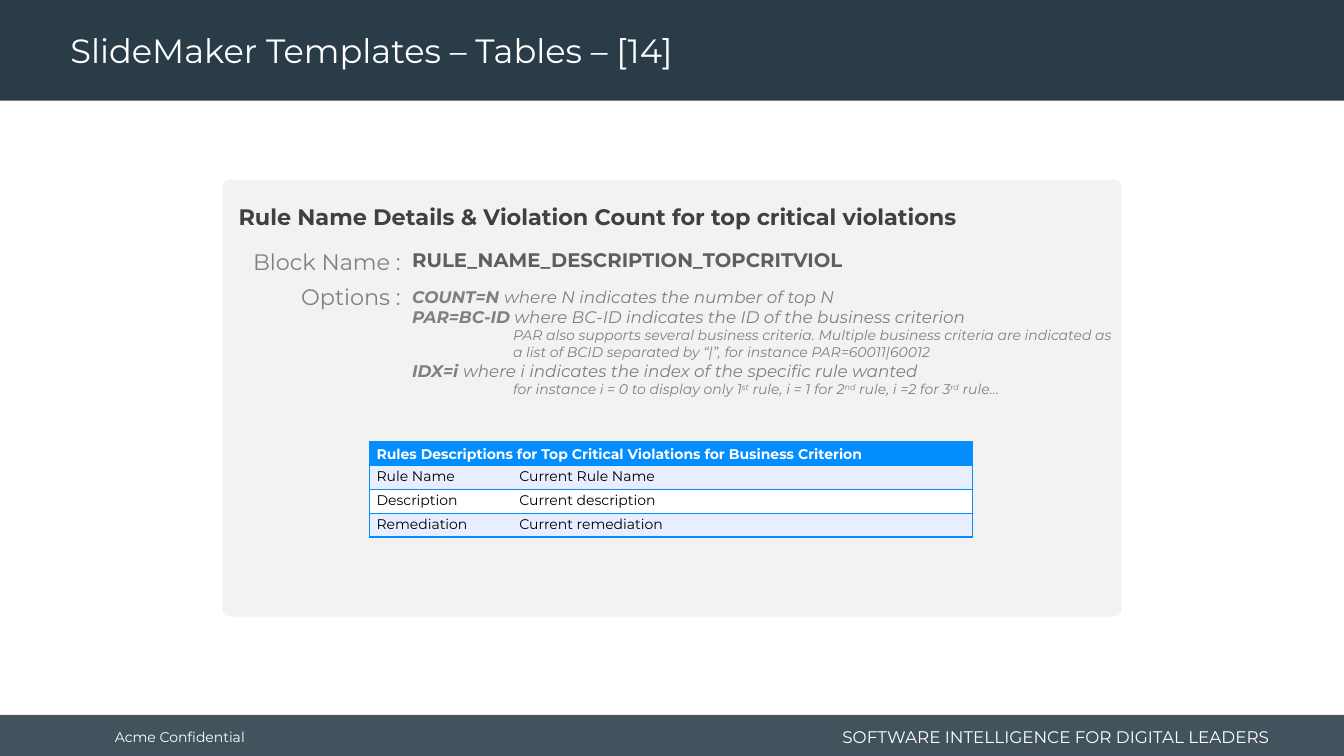
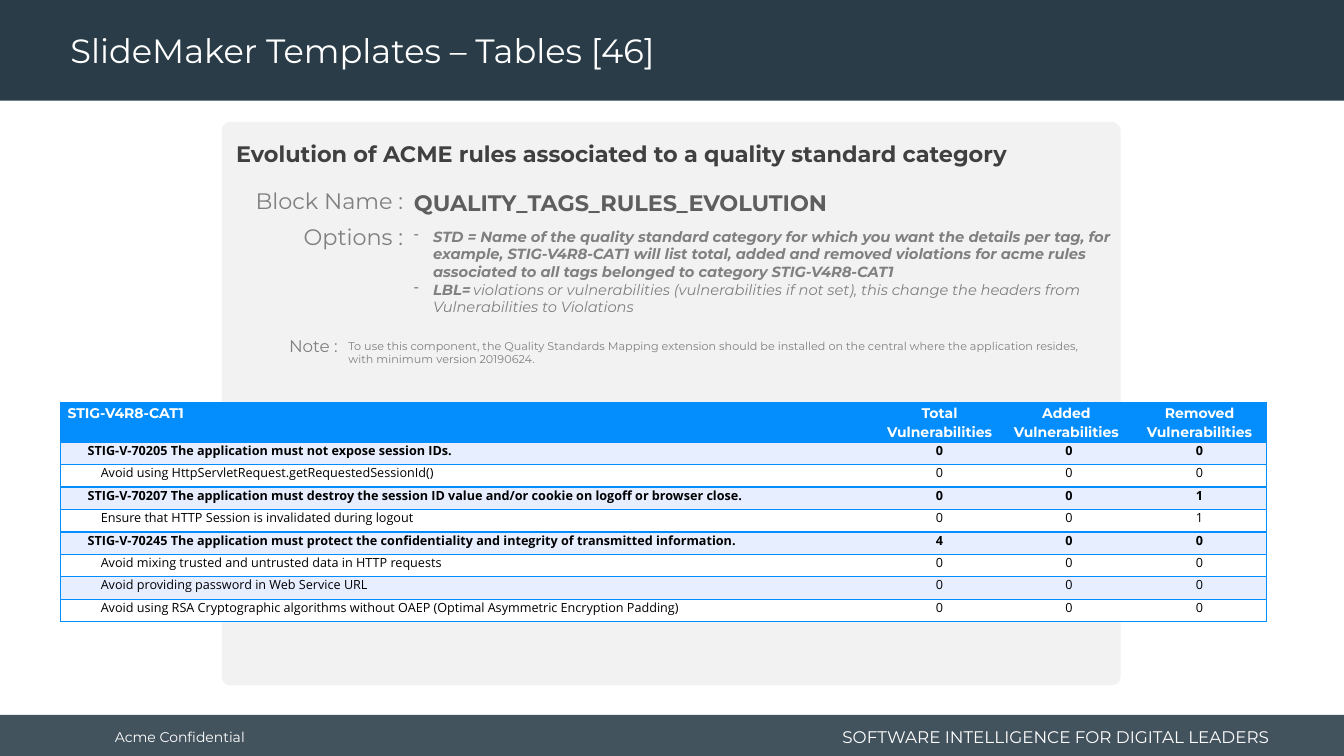
from dataclasses import dataclass

from lxml.etree import SubElement
from pptx import Presentation
from pptx.dml.color import RGBColor
from pptx.enum.shapes import MSO_SHAPE
from pptx.enum.text import MSO_ANCHOR, PP_ALIGN
from pptx.oxml.ns import qn
from pptx.util import Emu, Inches, Pt

COLUMNS, ROWS = 160, 90
SLIDE_WIDTH, SLIDE_HEIGHT = Inches(13.33), Inches(7.5)
BODY_FONT, TABLE_FONT = "Montserrat", "Open Sans"


@dataclass(frozen=True)
class Theme:
    band: str = "293C47"
    footer_opacity: int = 88
    panel: str = "F2F2F2"
    accent: str = "048EFD"
    stripe: str = "E7EEFF"
    white: str = "FFFFFF"
    black: str = "000000"
    heading: str = "404040"
    block: str = "5E5E5E"
    muted: str = "808080"
    title_size: float = 24
    heading_size: float = 16
    block_size: float = 14
    text_size: float = 12
    option_size: float = 10.5
    small_size: float = 10
    row_size: float = 9
    note_size: float = 8
    gap_size: float = 6


THEME = Theme()


def text_format(size, color, bold=False, italic=False, name=BODY_FONT):
    return {"size": size, "color": color, "bold": bold, "italic": italic, "name": name}


TITLE = text_format(THEME.title_size, THEME.white)
CONFIDENTIAL = text_format(THEME.small_size, THEME.white)
TAGLINE = text_format(THEME.text_size, THEME.white)
HEADING = text_format(THEME.heading_size, THEME.heading, bold=True)
BLOCK = text_format(THEME.block_size, THEME.block, bold=True)
LABEL = text_format(THEME.heading_size, THEME.muted)
OPTION = text_format(THEME.text_size, THEME.muted, italic=True)
NOTE = text_format(THEME.note_size, THEME.muted)
TABLE_HEADER = text_format(THEME.small_size, THEME.white, bold=True)
TABLE_TEXT = text_format(THEME.small_size, THEME.black)
RULE = text_format(THEME.row_size, THEME.black, name=TABLE_FONT)

STRONG = {"bold": True}
SMALL = {"size": THEME.small_size}
SUPERSCRIPT = SMALL | {"baseline": 30}


def across(columns):
    return Emu(round(SLIDE_WIDTH * columns / COLUMNS))


def down(rows):
    return Emu(round(SLIDE_HEIGHT * rows / ROWS))


def place(left, top, width, height):
    return across(left), down(top), across(width), down(height)


def set_attributes(target, values):
    for name, value in values.items():
        setattr(target, name, value)


def add_run(paragraph, text, values):
    run = paragraph.add_run()
    run.text = text
    font_values = dict(values)
    run.font.color.rgb = RGBColor.from_string(font_values.pop("color"))
    baseline = font_values.pop("baseline", None)
    font_values["size"] = Pt(font_values["size"])
    set_attributes(run.font, font_values)
    if baseline:
        run.font._element.set("baseline", str(baseline * 1000))


def indent(paragraph, inches, bullet=None):
    """Indent the paragraph; a bullet hangs in the indent."""
    properties = paragraph._p.get_or_add_pPr()
    properties.set("marL", str(Inches(inches)))
    properties.set("indent", str(-Inches(inches) if bullet else 0))
    if bullet:
        SubElement(properties, qn("a:buChar")).set("char", bullet)


def fill_paragraph(paragraph, runs, base, left=0, bullet=None, **layout):
    """Write a string, or (text, changed format values) pairs, in a base format."""
    set_attributes(paragraph, layout)
    if left:
        indent(paragraph, left, bullet)
    for text, changes in [(runs, {})] if isinstance(runs, str) else runs:
        add_run(paragraph, text, base | changes)


def add_text(slide, area, paragraphs, base, anchor=MSO_ANCHOR.TOP, inset=0.1, **layout):
    """Add a text box from a string or from (runs, indent, bullet) paragraphs."""
    frame = slide.shapes.add_textbox(*place(*area)).text_frame
    set_attributes(frame, {
        "word_wrap": True, "vertical_anchor": anchor,
        "margin_left": Inches(inset), "margin_right": Inches(inset),
    })
    if isinstance(paragraphs, str):
        paragraphs = [(paragraphs, 0, None)]
    for number, (runs, left, bullet) in enumerate(paragraphs):
        paragraph = frame.add_paragraph() if number else frame.paragraphs[0]
        fill_paragraph(paragraph, runs, base, left, bullet, **layout)


def add_block(slide, area, color, kind=MSO_SHAPE.RECTANGLE, opacity=100):
    shape = slide.shapes.add_shape(kind, *place(*area))
    shape.shadow.inherit = False
    shape.fill.solid()
    shape.fill.fore_color.rgb = RGBColor.from_string(color)
    shape.line.fill.background()
    if opacity < 100:
        color_element = shape._element.spPr.find(qn("a:solidFill"))[0]
        SubElement(color_element, qn("a:alpha")).set("val", str(opacity * 1000))
    return shape


def add_framed_slide(presentation, title):
    """Add a slide with the title band and the footer."""
    slide = presentation.slides.add_slide(presentation.slide_layouts[6])
    middle = MSO_ANCHOR.MIDDLE
    add_block(slide, (0, 85.1, COLUMNS, ROWS - 85.1), THEME.band, opacity=THEME.footer_opacity)
    add_block(slide, (0, 0, COLUMNS, 12), THEME.band)
    add_text(slide, (12.5, 85.3, 18, 4.8), "Acme Confidential", CONFIDENTIAL, middle)
    add_text(slide, (97.3, 85.8, 55, 3.8), "SOFTWARE INTELLIGENCE FOR DIGITAL LEADERS",
             TAGLINE, middle, alignment=PP_ALIGN.RIGHT)
    add_text(slide, (7.2, 0.5, 115, 11.5), title, TITLE, middle, line_spacing=0.9)
    return slide


def add_panel(slide, area, corner):
    panel = add_block(slide, area, THEME.panel, MSO_SHAPE.ROUNDED_RECTANGLE)
    panel.adjustments[0] = corner


def add_heading(slide, left, top, text):
    add_text(slide, (left, top, 107, 4.4), text, HEADING, inset=0.2)


def add_label(slide, right, top, text, base=LABEL):
    add_text(slide, (right - 20, top, 20, 4.4), text, base, alignment=PP_ALIGN.RIGHT)


def draw_borders(cell, sides):
    """Line the given sides of a cell and clear the others."""
    properties = cell._tc.get_or_add_tcPr()
    for side in "LRTB":
        line = SubElement(properties, qn(f"a:ln{side}"))
        line.set("w", str(Pt(1)))
        if side in sides:
            fill = SubElement(line, qn("a:solidFill"))
            SubElement(fill, qn("a:srgbClr")).set("val", THEME.accent)
        else:
            SubElement(line, qn("a:noFill"))


def add_grid(slide, left, top, widths, heights):
    """Add a table with ruled rows, a header fill and striped rows."""
    area = place(left, top, sum(widths), sum(heights))
    table = slide.shapes.add_table(len(heights), len(widths), *area).table
    set_attributes(table, {"first_row": False, "horz_banding": False})
    for column, width in zip(table.columns, widths):
        column.width = across(width)
    for number, (row, height) in enumerate(zip(table.rows, heights)):
        row.height = down(height)
        color = THEME.stripe if number % 2 else THEME.white
        for position, cell in enumerate(row.cells):
            outer = "L" * (position == 0) + "R" * (position == len(widths) - 1)
            draw_borders(cell, "TB" + outer)
            cell.fill.solid()
            cell.fill.fore_color.rgb = RGBColor.from_string(color if number else THEME.accent)
            set_attributes(cell, {
                "margin_left": Inches(0.07), "margin_right": Inches(0.07),
                "margin_top": 0, "margin_bottom": 0,
            })
    return table


def fill_cell(cell, text, base, **layout):
    fill_paragraph(cell.text_frame.paragraphs[0], text, base, **layout)


def add_description_table(slide):
    rows = [
        ("Rule Name", "Current Rule Name"),
        ("Description", "Current description"),
        ("Remediation", "Current remediation"),
    ]
    table = add_grid(slide, 44, 52.6, [17, 54.8], [2.83] * (len(rows) + 1))
    header = table.cell(0, 0)
    header.merge(table.cell(0, 1))
    header.vertical_anchor = MSO_ANCHOR.MIDDLE
    fill_cell(header, "Rules Descriptions for Top Critical Violations for Business Criterion",
              TABLE_HEADER, line_spacing=1.15)
    for number, texts in enumerate(rows, 1):
        for position, text in enumerate(texts):
            fill_cell(table.cell(number, position), text, TABLE_TEXT, line_spacing=1.15)


def add_evolution_table(slide):
    headers = ["STIG-V4R8-CAT1", "Total Vulnerabilities", "Added Vulnerabilities",
               "Removed Vulnerabilities"]
    rows = [
        (True, "STIG-V-70205 The application must not expose session IDs.", 0, 0, 0),
        (False, "Avoid using HttpServletRequest.getRequestedSessionId()", 0, 0, 0),
        (True, "STIG-V-70207 The application must destroy the session ID value and/or "
               "cookie on logoff or browser close.", 0, 0, 1),
        (False, "Ensure that HTTP Session is invalidated during logout", 0, 0, 1),
        (True, "STIG-V-70245 The application must protect the confidentiality and "
               "integrity of transmitted information.", 4, 0, 0),
        (False, "Avoid mixing trusted and untrusted data in HTTP requests", 0, 0, 0),
        (False, "Avoid providing password in Web Service URL", 0, 0, 0),
        (False, "Avoid using RSA Cryptographic algorithms without OAEP "
                "(Optimal Asymmetric Encryption Padding)", 0, 0, 0),
    ]
    table = add_grid(slide, 7.2, 47.9, [97.4, 14.5, 15.7, 16], [4.75] + [2.67] * len(rows))
    for position, text in enumerate(headers):
        fill_cell(table.cell(0, position), text, TABLE_HEADER, line_spacing=1.15,
                  alignment=PP_ALIGN.CENTER if position else PP_ALIGN.LEFT)
    for number, (is_tag, name, *counts) in enumerate(rows, 1):
        base = RULE | {"bold": is_tag}
        fill_cell(table.cell(number, 0), name, base, left=0.2 if is_tag else 0.33,
                  line_spacing=Pt(12))
        for position, count in enumerate(counts, 1):
            fill_cell(table.cell(number, position), str(count), base,
                      left=0.05 if position == 2 else 0,
                      line_spacing=Pt(12), alignment=PP_ALIGN.CENTER)


def add_rule_description_slide(presentation):
    slide = add_framed_slide(presentation, "SlideMaker Templates – Tables – [14]")
    add_panel(slide, (26.5, 21.4, 107, 52), 0.017)
    add_heading(slide, 26, 23.6, "Rule Name Details & Violation Count for top critical violations")
    add_label(slide, 48.9, 28.9, "Block Name :")
    add_text(slide, (47.9, 28.9, 87, 4.1), "RULE_NAME_DESCRIPTION_TOPCRITVIOL", BLOCK)
    add_label(slide, 48.9, 33.1, "Options :")
    add_text(slide, (47.9, 33.5, 87, 14.6), [
        ([("COUNT=N ", STRONG), ("where N indicates the number of top N", {})], 0, None),
        ([("PAR=BC-ID", STRONG),
          (" where BC-ID indicates the ID of the business criterion", {})], 0, None),
        ([("PAR also supports several business criteria. Multiple business criteria are "
           "indicated as a list of BCID separated by “|”, for instance PAR=60011|60012",
           SMALL)], 1, None),
        ([("IDX=i ", STRONG),
          ("where i indicates the index of the specific rule wanted", {})], 0, None),
        ([("for instance i = 0 to display only 1", SMALL), ("st", SUPERSCRIPT),
          (" rule, i = 1 for 2", SMALL), ("nd", SUPERSCRIPT),
          (" rule, i =2 for 3", SMALL), ("rd", SUPERSCRIPT), (" rule…", SMALL)], 1, None),
    ], OPTION)
    add_description_table(slide)


def add_rules_evolution_slide(presentation):
    slide = add_framed_slide(presentation, "SlideMaker Templates – Tables [46]")
    add_panel(slide, (26.4, 14.5, 107, 67.1), 0.015)
    add_heading(slide, 25.7, 16.1,
                "Evolution of ACME rules associated to a quality standard category")
    add_label(slide, 49.2, 21.7, "Block Name :")
    add_text(slide, (48.1, 21.9, 87, 4.4), "QUALITY_TAGS_RULES_EVOLUTION",
             BLOCK | {"size": THEME.heading_size})
    add_label(slide, 49.2, 26, "Options :")
    add_text(slide, (48.1, 26.5, 85.7, 11.8), [
        ([("STD = Name of the quality standard category for which you want the details per "
           "tag, for example, STIG-V4R8-CAT1 will list total, added and removed violations "
           "for acme rules associated to all tags belonged to category STIG-V4R8-CAT1",
           STRONG)], 0.19, "-"),
        ([("LBL=", STRONG), (" ", STRONG | {"size": THEME.gap_size}),
          ("violations or vulnerabilities (vulnerabilities if not set), this change the "
           "headers from Vulnerabilities to Violations", {})], 0.19, "-"),
    ], OPTION | {"size": THEME.option_size})
    add_label(slide, 41.4, 39.4, "Note :", LABEL | {"size": THEME.text_size})
    add_text(slide, (40.3, 39.8, 91.8, 4.4),
             "To use this component, the Quality Standards Mapping extension should be "
             "installed on the central where the application resides, with minimum version "
             "20190624.", NOTE)
    add_evolution_table(slide)


def main():
    presentation = Presentation()
    set_attributes(presentation, {"slide_width": SLIDE_WIDTH, "slide_height": SLIDE_HEIGHT})
    add_rule_description_slide(presentation)
    add_rules_evolution_slide(presentation)
    presentation.save("out.pptx")


if __name__ == "__main__":
    main()
